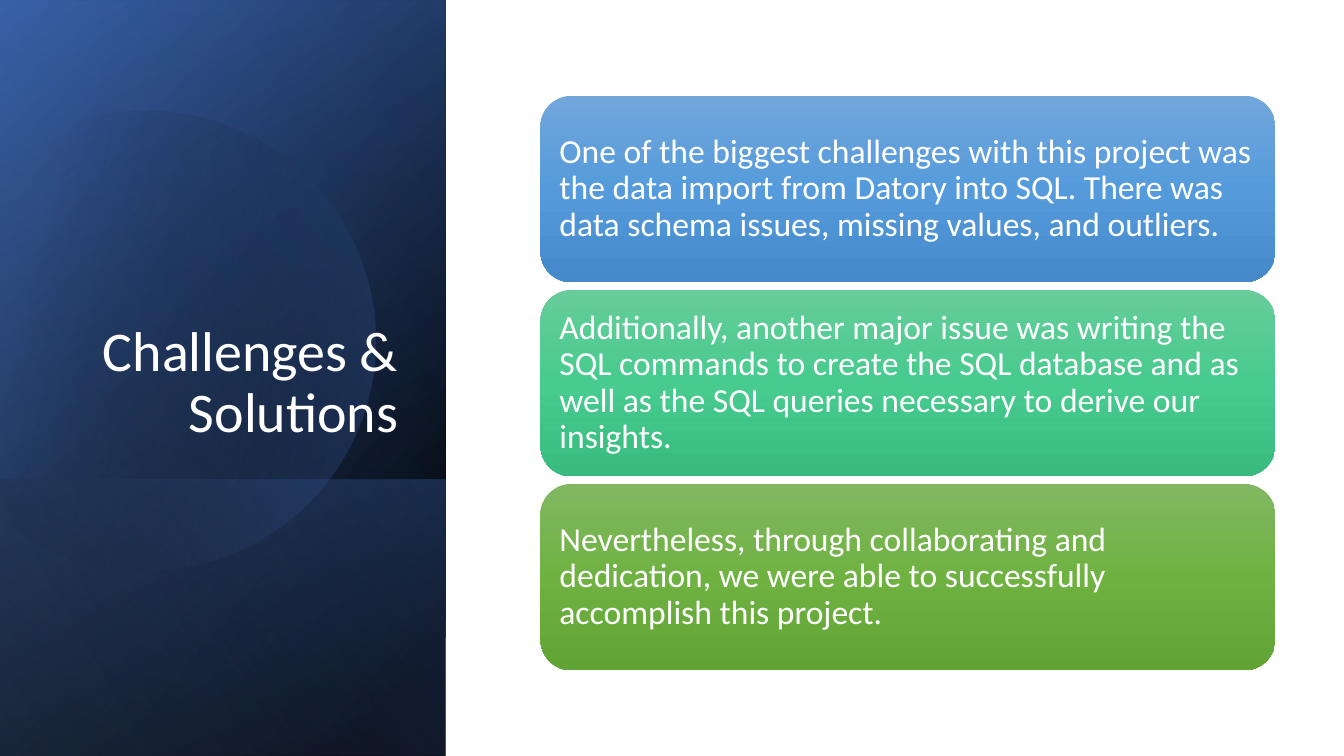
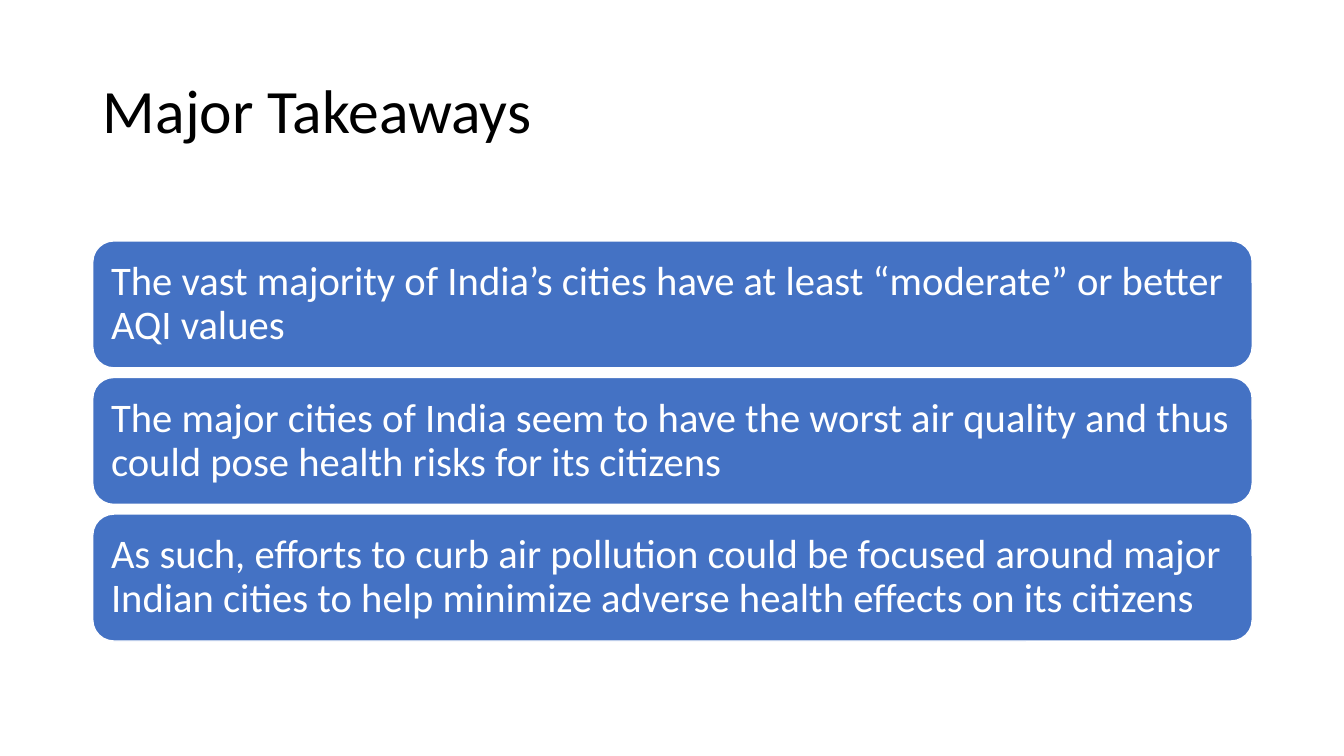
import math
from itertools import pairwise

from pptx import Presentation
from pptx.dml.color import RGBColor
from pptx.enum import shapes, text
from pptx.oxml import ns, xmlchemy
from pptx.util import Inches, Pt

FONT = "Calibri"
WHITE = RGBColor(0xFF, 0xFF, 0xFF)
BLACK = RGBColor(0, 0, 0)
BLUE = RGBColor(0x44, 0x72, 0xC4)
NAVY = RGBColor(0x2F, 0x55, 0x97)
PALE = RGBColor(0x8F, 0xAA, 0xDC)
SKY = [RGBColor(0x71, 0xA6, 0xDB), RGBColor(0x55, 0x9B, 0xDB),
       RGBColor(0x44, 0x8A, 0xCA)]
MINT = [RGBColor(0x67, 0xCC, 0x9A), RGBColor(0x47, 0xCB, 0x8E),
        RGBColor(0x39, 0xBB, 0x7F)]
LEAF = [RGBColor(0x81, 0xB8, 0x61), RGBColor(0x6F, 0xB2, 0x42),
        RGBColor(0x62, 0xA3, 0x36)]

# Side panel layers: left, top, width, height, angle, stops (%, colour, opacity %)
LAYERS = [
    (-1.54, 1.54, 7.5, 4.42, 50, [(8, BLACK, 100), (100, NAVY, 100)]),
    (-1.54, 1.55, 7.5, 4.42, 30, [(0, BLACK, 0), (99, BLUE, 46)]),
    (0.84, 3.92, 2.74, 4.42, 130, [(2, BLUE, 29), (100, BLACK, 30)]),
]
GLOW = (-1.54, 1.54, 7.5, 4.42, 120, [(0, BLACK, 0), (99, PALE, 11)])

ISSUES = [
    "One of the biggest challenges with this project was the data import from "
    "Datory into SQL. There was data schema issues, missing values, and "
    "outliers.",
    "Additionally, another major issue was writing the SQL commands to create "
    "the SQL database and as well as the SQL queries necessary to derive our "
    "insights.",
    "Nevertheless, through collaborating and dedication, we were able to "
    "successfully accomplish this project.",
]
LESSONS = [
    "The vast majority of India’s cities have at least “moderate” or better "
    "AQI values",
    "The major cities of India seem to have the worst air quality and thus "
    "could pose health risks for its citizens",
    "As such, efforts to curb air pollution could be focused around major "
    "Indian cities to help minimize adverse health effects on its citizens",
]


def apply(item, values):
    for name, value in values.items():
        setattr(item, name, value)


def write(shape, words, size, color, align, anchor, inset=None):
    frame = shape.text_frame
    apply(frame, {"text": words, "word_wrap": True, "vertical_anchor": anchor,
                  "auto_size": text.MSO_AUTO_SIZE.NONE})
    if inset is not None:
        apply(frame, {f"margin_{side}": Inches(inset)
                      for side in ("left", "top", "right", "bottom")})
    para = frame.paragraphs[0]
    apply(para, {"alignment": align, "line_spacing": 0.9})
    apply(para.runs[0].font, {"name": FONT, "size": Pt(size)})
    para.runs[0].font.color.rgb = color


def blend(shape, stops, angle):
    """Fill with a linear gradient; the angle runs clockwise."""
    shape.fill.gradient()
    shape.fill.gradient_angle = 360 - angle
    stop_list = shape._element.spPr.find(ns.qn("a:gradFill")).find(ns.qn("a:gsLst"))
    for old in list(stop_list):
        stop_list.remove(old)
    for place, color, alpha in stops:
        stop = xmlchemy.OxmlElement("a:gs")
        stop.set("pos", str(place * 1000))
        tint = xmlchemy.OxmlElement("a:srgbClr")
        tint.set("val", str(color))
        if alpha < 100:
            clear = xmlchemy.OxmlElement("a:alpha")
            clear.set("val", str(alpha * 1000))
            tint.append(clear)
        stop.append(tint)
        stop_list.append(stop)


def plain(shape):
    shape.shadow.inherit = False
    shape.line.fill.background()


def layer(slide, left, top, width, height, angle, stops):
    """A rectangle turned on its side and mirrored."""
    box = slide.shapes.add_shape(shapes.MSO_SHAPE.RECTANGLE, Inches(left),
                                 Inches(top), Inches(width), Inches(height))
    plain(box)
    blend(box, stops, angle)
    box.rotation = 90
    box._element.spPr.xfrm.set("flipH", "1")


def spot(turn, slide_by=0):
    """A point on the disc's rim, moved along the tangent by a share of the radius."""
    angle = math.radians(turn)
    across = math.cos(angle) - slide_by * math.sin(angle)
    down = math.sin(angle) + slide_by * math.cos(angle)
    return Inches(1.44 + 2.28 * across), Inches(3.34 + 2.28 * down)


def disc(slide):
    """A circle with its left side cut off, tilted so the cut is upright."""
    turns = (-118, -90, 0, 90, 150)
    path = slide.shapes.build_freeform(*spot(turns[0]))
    path.add_line_segments([spot(turn) for turn in turns[1:]], close=True)
    shape = path.convert_to_shape()
    # Bend the straight segments into arcs
    lines = list(shape._element.iter(ns.qn("a:lnTo")))
    for line, (start, end) in zip(lines, pairwise(turns)):
        pull = 4 / 3 * math.tan(math.radians(end - start) / 4)
        curve = xmlchemy.OxmlElement("a:cubicBezTo")
        for x, y in (spot(start, pull), spot(end, -pull), spot(end)):
            point = xmlchemy.OxmlElement("a:pt")
            point.set("x", str(x - shape.left))
            point.set("y", str(y - shape.top))
            curve.append(point)
        line.getparent().replace(line, curve)
    plain(shape)
    blend(shape, [(29, BLACK, 0), (100, BLUE, 43)], 30)
    shape.rotation = 343.9


def title(slide, words, place, size, color, align, anchor):
    head = slide.shapes.title
    apply(head, dict(zip(("left", "top", "width", "height"),
                         map(Inches, place))))
    write(head, words, size, color, align, anchor)
    slide.shapes._spTree.append(head._element)  # bring to front


def cards(slide, items, left, width, height, first, last, size, inset):
    """Stack equal cards with tops spread evenly from first to last."""
    step = (last - first) / (len(items) - 1)
    made = []
    for row, words in enumerate(items):
        card = slide.shapes.add_shape(
            shapes.MSO_SHAPE.ROUNDED_RECTANGLE, Inches(left),
            Inches(first + row * step), Inches(width), Inches(height))
        plain(card)
        write(card, words, size, WHITE, text.PP_ALIGN.LEFT,
              text.MSO_ANCHOR.MIDDLE, inset)
        made.append(card)
    return made


def issues(slide):
    # Side panel
    for part in LAYERS:
        layer(slide, *part)
    disc(slide)
    layer(slide, *GLOW)
    title(slide, "Challenges & Solutions", (0.64, 1.84, 3.41, 2.62), 40, WHITE,
          text.PP_ALIGN.RIGHT, text.MSO_ANCHOR.BOTTOM)
    # Cards
    stack = cards(slide, ISSUES, 5.36, 7.29, 1.85, 0.95, 4.8, 24, 0.1)
    for card, tones in zip(stack, (SKY, MINT, LEAF)):
        blend(card, [(50 * n, tone, 100) for n, tone in enumerate(tones)], 90)


def lessons(slide):
    title(slide, "Major Takeaways", (0.92, 0.4, 11.5, 1.45), 44, BLACK,
          text.PP_ALIGN.LEFT, text.MSO_ANCHOR.MIDDLE)
    for card in cards(slide, LESSONS, 0.92, 11.5, 1.26, 2.39, 5.1, 29, 0.12):
        card.fill.solid()
        card.fill.fore_color.rgb = BLUE
        card.line.color.rgb = WHITE
        card.line.width = Pt(1)


def main():
    deck = Presentation()
    apply(deck, {"slide_width": Inches(13.33), "slide_height": Inches(7.5)})
    for build in (issues, lessons):
        build(deck.slides.add_slide(deck.slide_layouts[5]))
    deck.save("out.pptx")


main()
